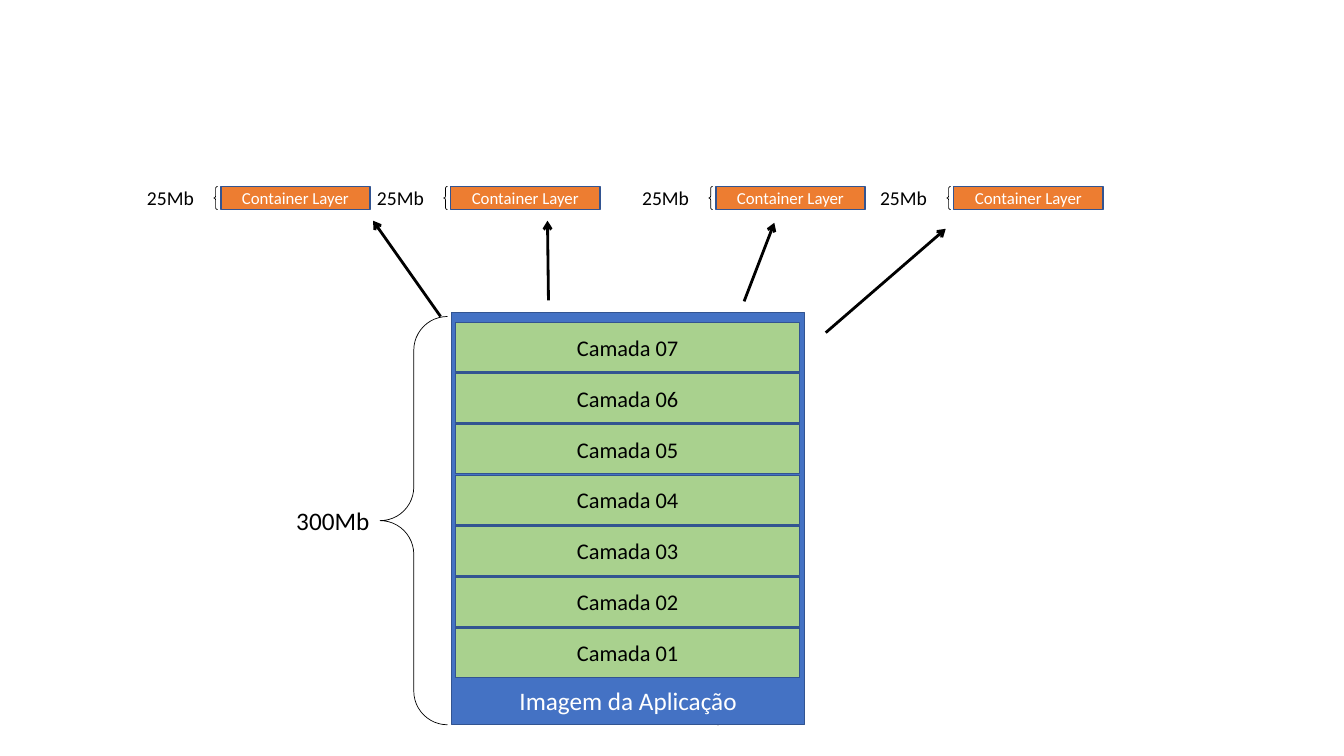
import pptx
import pptx.util
import pptx.dml.color
import pptx.enum.shapes
import pptx.enum.text
import pptx.oxml.ns
import lxml.etree
from dataclasses import dataclass

Inches = pptx.util.Inches
Pt = pptx.util.Pt
MSO_SHAPE = pptx.enum.shapes.MSO_SHAPE
PP_ALIGN = pptx.enum.text.PP_ALIGN
MSO_ANCHOR = pptx.enum.text.MSO_ANCHOR


@dataclass(frozen=True)
class Theme:
    font: str = "Calibri"
    black: str = "000000"
    white: str = "FFFFFF"
    image: str = "4472C4"
    border: str = "325491"
    layer: str = "A9D18E"
    container: str = "ED7D31"
    large: int = 18
    medium: int = 16
    small: int = 14
    tiny: int = 12


def rgb(color):
    return pptx.dml.color.RGBColor.from_string(color)


def write(tf, text, *, font, size, color, align=PP_ALIGN.LEFT,
          anchor=MSO_ANCHOR.TOP, wrap=True):
    tf.word_wrap = wrap
    tf.vertical_anchor = anchor
    p = tf.paragraphs[0]
    p.alignment = align
    r = p.add_run()
    r.text = text
    r.font.name = font
    r.font.size = Pt(size)
    r.font.color.rgb = rgb(color)


class Diagram:
    def __init__(self, slide, theme):
        self.slide = slide
        self.theme = theme

    def box(self, x, y, w, h, fill, text=None, size=None, color=None):
        sp = self.slide.shapes.add_shape(
            MSO_SHAPE.RECTANGLE, Inches(x), Inches(y), Inches(w), Inches(h))
        sp.shadow.inherit = False
        sp.fill.solid()
        sp.fill.fore_color.rgb = rgb(fill)
        sp.line.color.rgb = rgb(self.theme.border)
        sp.line.width = Pt(1)
        if text:
            write(sp.text_frame, text, font=self.theme.font, size=size, color=color,
                  align=PP_ALIGN.CENTER, anchor=MSO_ANCHOR.MIDDLE)

    def braces(self, x, y, w, h):
        sp = self.slide.shapes.add_shape(
            MSO_SHAPE.DOUBLE_BRACE, Inches(x), Inches(y), Inches(w), Inches(h))
        sp.shadow.inherit = False
        sp.fill.background()
        sp.line.color.rgb = rgb(self.theme.black)
        sp.line.width = Pt(0.5)

    def label(self, x, y, w, h, text, size, color, align=PP_ALIGN.LEFT, wrap=False):
        sp = self.slide.shapes.add_textbox(Inches(x), Inches(y), Inches(w), Inches(h))
        write(sp.text_frame, text, font=self.theme.font, size=size, color=color,
              align=align, wrap=wrap)
        sp.text_frame.auto_size = pptx.enum.text.MSO_AUTO_SIZE.SHAPE_TO_FIT_TEXT

    def arrow(self, x1, y1, x2, y2):
        cxn = self.slide.shapes.add_connector(
            pptx.enum.shapes.MSO_CONNECTOR.STRAIGHT,
            Inches(x1), Inches(y1), Inches(x2), Inches(y2))
        cxn.line.color.rgb = rgb(self.theme.black)
        cxn.line.width = Pt(2)
        qn = pptx.oxml.ns.qn
        lxml.etree.SubElement(cxn.line._get_or_add_ln(), qn("a:tailEnd"), type="arrow")
        lxml.etree.SubElement(cxn._element.spPr, qn("a:effectLst"))


def main():
    prs = pptx.Presentation()
    prs.slide_width = Inches(13.33)
    prs.slide_height = Inches(7.5)
    theme = Theme()
    diagram = Diagram(prs.slides.add_slide(prs.slide_layouts[6]), theme)

    diagram.braces(3.77, 3.14, 4.01, 4.05)
    diagram.box(4.48, 3.1, 3.5, 4.09, theme.image)
    diagram.label(4.48, 6.75, 3.5, 0.4, "Imagem da Aplicação", theme.large,
                  theme.white, align=PP_ALIGN.CENTER, wrap=True)

    layer_count, layer_top, layer_step = 7, 3.2, 0.505
    for number in range(1, layer_count + 1):
        y = layer_top + (layer_count - number) * layer_step
        diagram.box(4.52, y, 3.41, 0.49, theme.layer, f"Camada {number:02d}",
                    theme.medium, theme.black)

    for x in (2.19, 4.47, 7.1, 9.46):
        diagram.braces(x - 0.07, 1.85, 0.94, 0.23)
        diagram.label(x - 0.83, 1.8, 0.7, 0.34, "25Mb", theme.small, theme.black)
        diagram.box(x, 1.85, 1.48, 0.23, theme.container, "Container Layer",
                    theme.tiny, theme.white)

    for ends in ((4.37, 3.14, 3.7, 2.19), (5.44, 2.98, 5.43, 2.19),
                 (7.38, 2.99, 7.68, 2.21), (8.19, 3.3, 9.38, 2.27)):
        diagram.arrow(*ends)

    diagram.label(2.84, 4.96, 1, 0.4, "300Mb", theme.large, theme.black)
    prs.save("out.pptx")


if __name__ == "__main__":
    main()
